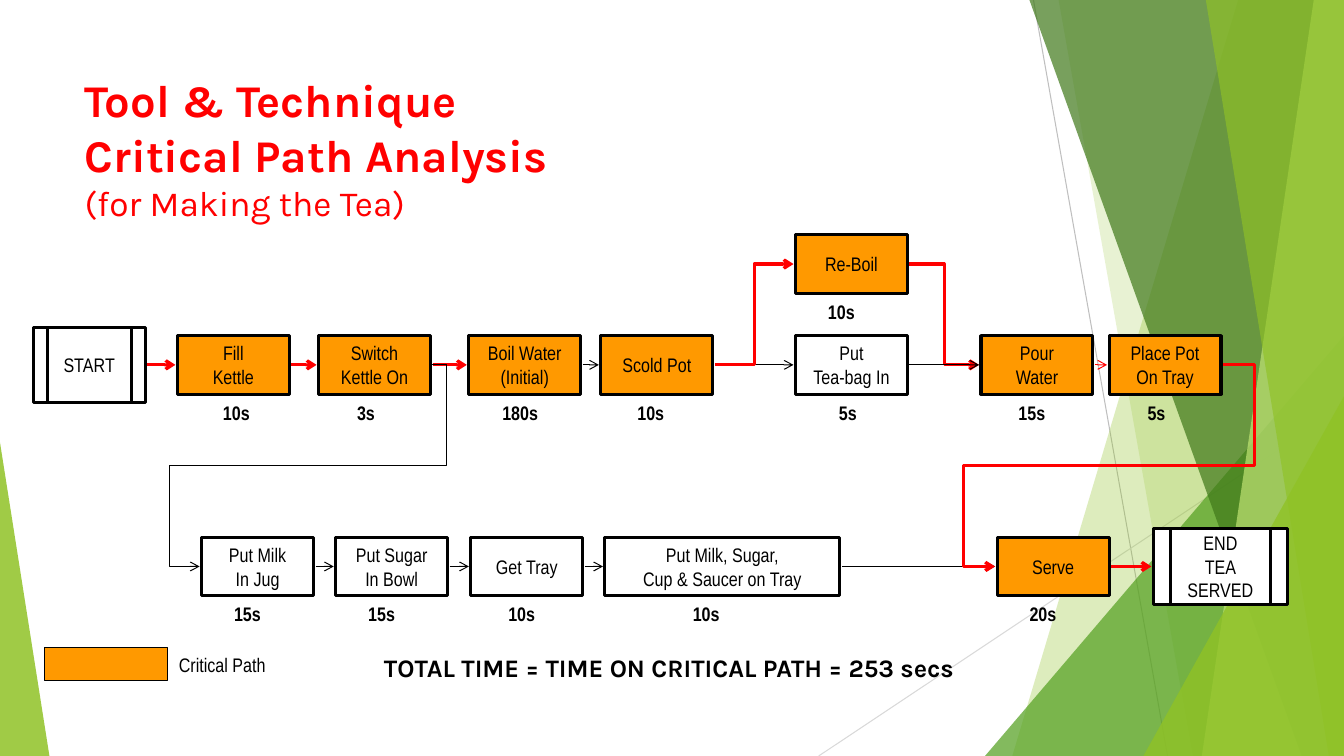
"""Build the tea-making critical path slide."""
import copy
from dataclasses import dataclass
from typing import Union

import pptx
import pptx.dml.color
import pptx.enum.shapes
import pptx.enum.text
import pptx.oxml
import pptx.oxml.ns
import pptx.shapes.base
import pptx.shapes.connector
import pptx.slide
import pptx.text.text
import pptx.util
from pptx.util import Inches

Shapes = pptx.enum.shapes.MSO_SHAPE
Align = pptx.enum.text.PP_ALIGN
Anchor = pptx.enum.text.MSO_ANCHOR


@dataclass(frozen=True)
class Theme:
    black: str = "000000"
    white: str = "FFFFFF"
    red: str = "FF0000"
    orange: str = "FF9900"
    green: str = "90C226"
    leaf: str = "54A021"
    forest: str = "3F7819"
    lime: str = "C0E474"
    gray: str = "BFBFBF"
    pale_gray: str = "D9D9D9"
    heading_font: str = "Karla"
    label_font: str = "Arial Narrow"
    title_size: float = 32.4
    subtitle_size: float = 25.2
    total_size: float = 18
    label_size: float = 14
    thin: float = 0.75
    thick: float = 2.25


@dataclass(frozen=True)
class Ribbon:
    top_x: float
    bottom_x: float
    color: str
    opacity: int


@dataclass(frozen=True)
class Wedge:
    left: float
    top: float
    width: float
    apex: float
    color: str
    opacity: int


@dataclass(frozen=True)
class Step:
    label: str
    left: float
    middle: float
    critical: bool = False
    time: str = ""
    time_left: float = 0
    width: float = 1.11
    height: float = 0.58
    terminal: bool = False


@dataclass(frozen=True)
class Link:
    source: str
    target: str
    color: str
    weight: float
    bends: tuple[float, ...] = ()


THEME = Theme()
WIDTH, HEIGHT = 13.33, 7.5
UPPER, MAIN, LOWER = 2.62, 3.62, 5.62
GAP = 0.02
CRITICAL = (THEME.red, THEME.thick)
NORMAL = (THEME.black, THEME.thin)

BACKDROP: list[Union[Ribbon, Wedge]] = [
    Ribbon(12.28, 10.04, THEME.green, 30),
    Ribbon(10.5, 11.83, THEME.green, 20),
    Wedge(9.77, 3.33, 3.56, 1, THEME.leaf, 72),
    Ribbon(10.21, 12.91, THEME.forest, 70),
    Ribbon(13.03, 11.92, THEME.lime, 70),
    Ribbon(11.96, 13.18, THEME.green, 65),
    Wedge(11.34, 3.93, 1.99, 1, THEME.green, 80),
    Wedge(0, 4.39, 0.49, 0, THEME.green, 85),
]
STEPS: dict[str, Step] = {
    "start": Step("START", 0.33, MAIN, height=0.75, terminal=True),
    "fill": Step("Fill\vKettle", 1.76, MAIN, True, "10s", 2.11),
    "switch": Step("Switch\vKettle On", 3.16, MAIN, True, "3s", 3.44),
    "boil": Step("Boil Water\v(Initial)", 4.65, MAIN, True, "180s", 4.88),
    "scold": Step("Scold Pot", 5.96, MAIN, True, "10s", 6.22),
    "teabag": Step("Put\vTea-bag In", 7.89, MAIN, False, "5s", 8.22),
    "reboil": Step("Re-Boil", 7.89, UPPER, True, "10s", 8.11),
    "pour": Step("Pour\vWater", 9.73, MAIN, True, "15s", 10),
    "place": Step("Place Pot\vOn Tray", 11, MAIN, True, "5s", 11.28),
    "serve": Step("Serve", 9.89, LOWER, True, "20s", 10.11),
    "end": Step("END\vTEA\vSERVED", 11.44, LOWER, width=1.33, height=0.75, terminal=True),
    "milk": Step("Put Milk\vIn Jug", 2, LOWER, False, "15s", 2.22),
    "sugar": Step("Put Sugar\vIn Bowl", 3.33, LOWER, False, "15s", 3.55),
    "tray": Step("Get Tray", 4.67, LOWER, False, "10s", 4.94),
    "crockery": Step("Put Milk, Sugar,\vCup & Saucer on Tray", 6, LOWER, False, "10s", 6.77, 2.33),
}
LINKS = [
    Link("start", "fill", *CRITICAL),
    Link("fill", "switch", *CRITICAL),
    Link("switch", "boil", *CRITICAL),
    Link("boil", "scold", *NORMAL),
    Link("scold", "teabag", *NORMAL),
    Link("pour", "place", THEME.red, THEME.thin),
    Link("milk", "sugar", *NORMAL),
    Link("sugar", "tray", *NORMAL),
    Link("tray", "crockery", *NORMAL),
    Link("switch", "milk", *NORMAL, (-0.06, 0.5, 1.13)),
    Link("crockery", "serve", *NORMAL),
    Link("place", "serve", *CRITICAL, (-0.14, 0.5, 1.14)),
    Link("serve", "end", *CRITICAL),
    Link("scold", "reboil", *CRITICAL, (0.5,)),
    Link("reboil", "pour", *CRITICAL, (0.5,)),
    Link("teabag", "pour", *NORMAL),
]


def rgb(color: str) -> pptx.dml.color.RGBColor:
    """Turn a hex string into a colour."""
    return pptx.dml.color.RGBColor.from_string(color)


def write(frame: pptx.text.text.TextFrame, text: str, font: str, size: float, color: str,
          bold: bool = False, align: Align = Align.CENTER, anchor: Anchor = Anchor.MIDDLE,
          wrap: bool = False, last_size: float = 0) -> None:
    """Fill a text frame with one formatted paragraph; last_size sets a lighter last line."""
    frame.text = text
    frame.word_wrap = wrap
    frame.vertical_anchor = anchor
    paragraph = frame.paragraphs[0]
    paragraph.alignment = align
    for run in paragraph.runs:
        run.font.name, run.font.size, run.font.bold = font, pptx.util.Pt(size), bold
        run.font.color.rgb = rgb(color)
    for line_break in paragraph._p.findall(pptx.oxml.ns.qn("a:br")):
        line_break.append(copy.deepcopy(paragraph.runs[0].font._element))
    if last_size:
        paragraph.runs[-1].font.size = pptx.util.Pt(last_size)
        paragraph.runs[-1].font.bold = False


def paint(shape: pptx.shapes.base.BaseShape, fill: str, weight: float = 0, opacity: int = 100) -> None:
    """Give a shape its fill, opacity and black outline."""
    shape.shadow.inherit = False
    shape.fill.solid()
    shape.fill.fore_color.rgb = rgb(fill)
    if opacity < 100:
        color = shape._element.spPr.find(".//" + pptx.oxml.ns.qn("a:srgbClr"))
        color.append(pptx.oxml.parse_xml(
            f'<a:alpha {pptx.oxml.ns.nsdecls("a")} val="{opacity * 1000}"/>'))
    if weight:
        shape.line.color.rgb = rgb(THEME.black)
        shape.line.width = pptx.util.Pt(weight)
    else:
        shape.line.fill.background()


def add_line(slide: pptx.slide.Slide, start: tuple[float, float], end: tuple[float, float],
             color: str, weight: float, bends: tuple[float, ...] = ()) -> pptx.shapes.connector.Connector:
    """Draw a straight or bent connector without a shadow."""
    kinds = pptx.enum.shapes.MSO_CONNECTOR
    connector = slide.shapes.add_connector(
        kinds.ELBOW if bends else kinds.STRAIGHT, *map(Inches, start + end))
    connector.line.color.rgb = rgb(color)
    connector.line.width = pptx.util.Pt(weight)
    properties = connector._element.spPr
    namespace = pptx.oxml.ns.nsdecls("a")
    properties.append(pptx.oxml.parse_xml(f"<a:effectLst {namespace}/>"))
    if bends:
        geometry = properties.find(pptx.oxml.ns.qn("a:prstGeom"))
        geometry.set("prst", f"bentConnector{len(bends) + 2}")
        for number, bend in enumerate(bends, 1):
            geometry.find(pptx.oxml.ns.qn("a:avLst")).append(pptx.oxml.parse_xml(
                f'<a:gd {namespace} name="adj{number}" fmla="val {round(bend * 100000)}"/>'))
    return connector


def add_backdrop(slide: pptx.slide.Slide, facet: Union[Ribbon, Wedge]) -> None:
    """Draw one translucent facet of the background."""
    if isinstance(facet, Ribbon):
        builder = slide.shapes.build_freeform(Inches(facet.top_x), 0)
        corners = [(WIDTH, 0), (WIDTH, HEIGHT), (facet.bottom_x, HEIGHT)]
        builder.add_line_segments([(Inches(x), Inches(y)) for x, y in corners])
        shape = builder.convert_to_shape()
    else:
        shape = slide.shapes.add_shape(
            Shapes.ISOSCELES_TRIANGLE, Inches(facet.left), Inches(facet.top),
            Inches(facet.width), Inches(HEIGHT - facet.top))
        shape.adjustments[0] = facet.apex
    paint(shape, facet.color, opacity=facet.opacity)


def add_text(slide: pptx.slide.Slide, text: str, left: float, top: float, width: float, height: float,
             font: str = THEME.label_font, size: float = THEME.label_size, bold: bool = True) -> None:
    """Add a centred one-line text box."""
    box = slide.shapes.add_textbox(*map(Inches, (left, top, width, height)))
    write(box.text_frame, text, font, size, THEME.black, bold)


def add_step(slide: pptx.slide.Slide, step: Step) -> None:
    """Draw one activity box."""
    kind = Shapes.FLOWCHART_PREDEFINED_PROCESS if step.terminal else Shapes.FLOWCHART_PROCESS
    top = step.middle - step.height / 2
    box = slide.shapes.add_shape(kind, *map(Inches, (step.left, top, step.width, step.height)))
    paint(box, THEME.orange if step.critical else THEME.white, THEME.thick)
    write(box.text_frame, step.label, THEME.label_font, THEME.label_size, THEME.black)


def add_link(slide: pptx.slide.Slide, link: Link) -> None:
    """Draw an arrow from one activity to the next."""
    source, target = STEPS[link.source], STEPS[link.target]
    connector = add_line(slide, (source.left + source.width + GAP, source.middle),
                         (target.left - GAP, target.middle), link.color, link.weight, link.bends)
    connector.line._get_or_add_ln().append(pptx.oxml.parse_xml(
        f'<a:tailEnd {pptx.oxml.ns.nsdecls("a")} type="arrow"/>'))


def main() -> None:
    """Assemble and save the slide."""
    presentation = pptx.Presentation()
    presentation.slide_width, presentation.slide_height = Inches(WIDTH), Inches(HEIGHT)
    slide = presentation.slides.add_slide(presentation.slide_layouts.get_by_name("Title Only"))
    add_line(slide, (10.25, 0), (11.58, HEIGHT), THEME.gray, THEME.thin)
    add_line(slide, (WIDTH, 4.03), (8.12, HEIGHT), THEME.pale_gray, THEME.thin)
    for facet in BACKDROP:
        add_backdrop(slide, facet)
    title = slide.shapes.title
    title.left, title.top, title.width, title.height = map(Inches, (0.74, 0.67, 9.4, 1.44))
    title.text_frame.auto_size = pptx.enum.text.MSO_AUTO_SIZE.NONE
    write(title.text_frame, "Tool & Technique\vCritical Path Analysis\v(for Making the Tea)",
          THEME.heading_font, THEME.title_size, THEME.red, True, Align.LEFT, Anchor.TOP, True,
          THEME.subtitle_size)
    for step in STEPS.values():
        add_step(slide, step)
    for link in LINKS:
        add_link(slide, link)
    for step in STEPS.values():
        if step.time:
            add_text(slide, step.time, step.time_left, step.middle + 0.3,
                     0.2 + 0.09 * len(step.time), 0.34)
    add_text(slide, "TOTAL TIME = TIME ON CRITICAL PATH = 253 secs", 3.67, 6.42, 5.93, 0.4,
             THEME.heading_font, THEME.total_size)
    swatch = slide.shapes.add_shape(Shapes.RECTANGLE, *map(Inches, (0.44, 6.42, 1.22, 0.33)))
    paint(swatch, THEME.orange, THEME.thin)
    add_text(slide, "Critical Path", 1.67, 6.42, 1.07, 0.34, bold=False)
    presentation.save("out.pptx")


if __name__ == "__main__":
    main()
